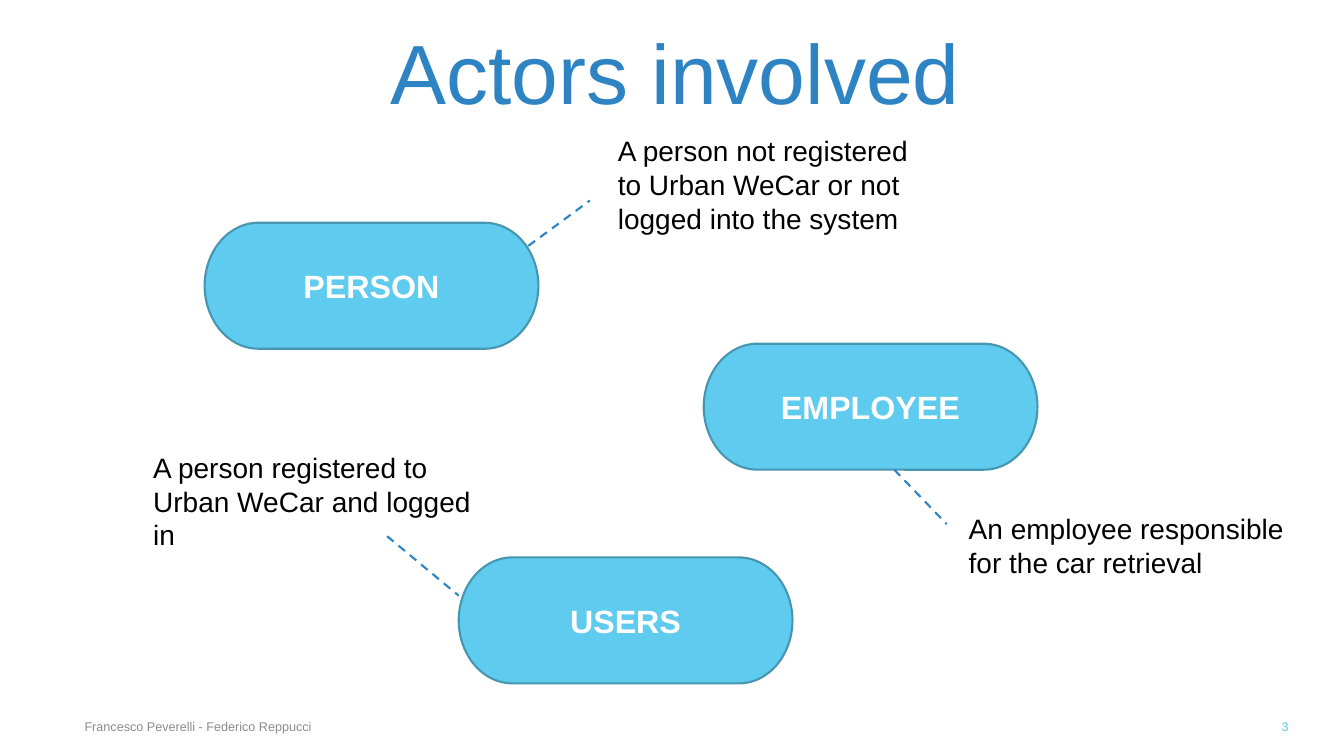
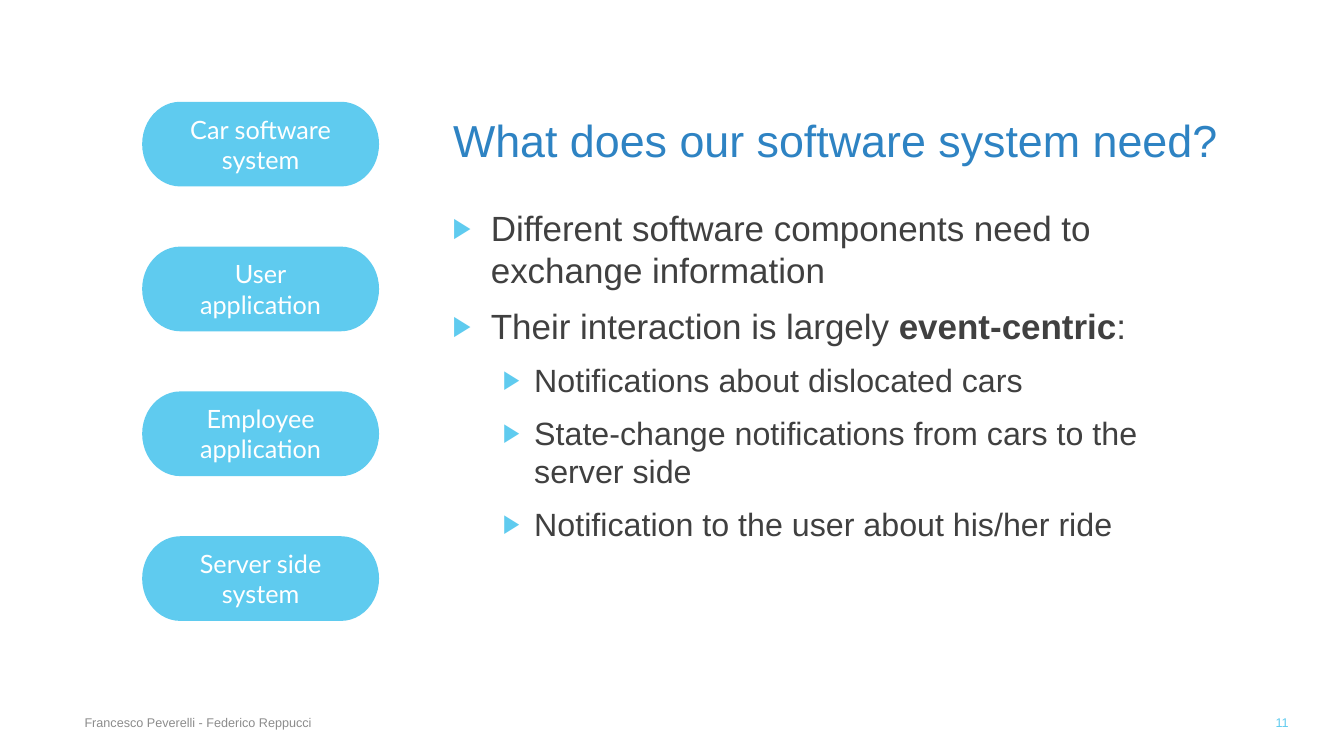
from lxml import etree
from pptx import Presentation
from pptx import util as u
from pptx.dml.color import RGBColor
from pptx.enum import dml, shapes, text
from pptx.oxml import ns

HUES = {
    "sky": "5FCBEF", "edge": "4696B1", "blue": "2E83C3", "ink": "000000",
    "body": "404040", "gray": "8C8C8C", "white": "FFFFFF",
}
SANS, ROUND = "Arial", "Lato"
LEFT, MID, RIGHT = text.PP_ALIGN.LEFT, text.PP_ALIGN.CENTER, text.PP_ALIGN.RIGHT
TOP, CENTER = text.MSO_ANCHOR.TOP, text.MSO_ANCHOR.MIDDLE


def hue(name):
    return RGBColor.from_string(HUES[name])


def inches(*sizes):
    return [u.Inches(size) for size in sizes]


def add_run(para, words, size, color, font=SANS, bold=False):
    run = para.add_run()
    run.text = words
    run.font.size = u.Pt(size)
    run.font.name = font
    run.font.bold = bold
    run.font.color.rgb = hue(color)


def write(frame, lines, size, color, align=LEFT, anchor=TOP, **style):
    frame.word_wrap = True
    frame.auto_size = text.MSO_AUTO_SIZE.NONE
    frame.vertical_anchor = anchor
    for i, line in enumerate(lines):
        para = frame.add_paragraph() if i else frame.paragraphs[0]
        para.alignment = align
        add_run(para, line, size, color, **style)


def add_title(slide, words, box, size):
    title = slide.shapes.title
    title.left, title.top, title.width, title.height = inches(*box)
    write(title.text_frame, [words], size, "blue", MID)


def add_text(slide, words, box, size, color, align=LEFT, anchor=TOP):
    area = slide.shapes.add_textbox(*inches(*box))
    write(area.text_frame, [words], size, color, align, anchor)


def add_footer(slide, number, top):
    add_text(slide, "Francesco Peverelli - Federico Reppucci",
             (0.74, top, 6.89, 0.4), 9, "gray", anchor=CENTER)
    add_text(slide, str(number), (12.13, top, 0.75, 0.4), 9, "sky", RIGHT, CENTER)


def add_pill(slide, lines, box, size, edge=None, **style):
    pill = slide.shapes.add_shape(
        shapes.MSO_SHAPE.FLOWCHART_TERMINATOR, *inches(*box))
    pill.shadow.inherit = False
    pill.fill.solid()
    pill.fill.fore_color.rgb = hue("sky")
    if edge:
        pill.line.color.rgb = hue(edge)
        pill.line.width = u.Pt(1.5)
    else:
        pill.line.fill.background()
    write(pill.text_frame, lines, size, "white", MID, CENTER, **style)


def add_dash(slide, ends):
    line = slide.shapes.add_connector(
        shapes.MSO_CONNECTOR.STRAIGHT, *inches(*ends))
    line.line.color.rgb = hue("blue")
    line.line.width = u.Pt(1.5)
    line.line.dash_style = dml.MSO_LINE.DASH
    etree.SubElement(line._element.spPr, ns.qn("a:effectLst"))


def set_bullet(para, indent, hang):
    props = para._p.get_or_add_pPr()
    props.set("marL", str(u.Inches(indent)))
    props.set("indent", str(-u.Inches(hang)))
    color = etree.SubElement(props, ns.qn("a:buClr"))
    etree.SubElement(color, ns.qn("a:srgbClr"), val=HUES["sky"])
    etree.SubElement(props, ns.qn("a:buSzPct"), val="80000")
    etree.SubElement(props, ns.qn("a:buFont"), typeface=SANS)
    etree.SubElement(props, ns.qn("a:buChar"), char="▶")


def add_list(slide, items, box):
    """Each item is a level and its runs, given as (words, bold)."""
    levels = [(25, 0.38, 0.38), (23, 0.81, 0.31)]
    frame = slide.shapes.add_textbox(*inches(*box)).text_frame
    frame.word_wrap = True
    for i, (level, runs) in enumerate(items):
        size, indent, hang = levels[level]
        para = frame.add_paragraph() if i else frame.paragraphs[0]
        para.level = level
        para.space_before = u.Pt(10)
        set_bullet(para, indent, hang)
        for words, bold in runs:
            add_run(para, words, size, "body", bold=bold)


def add_actors(slide):
    add_title(slide, "Actors involved", (0.52, 0.15, 12.35, 1.13), 60)
    actors = [
        ("PERSON", (2.03, 2.21), (5.24, 2.44, 5.85, 1.99),
         "A person not registered to Urban WeCar or not logged into the system",
         (6.03, 1.28, 3.36, 1.11)),
        ("EMPLOYEE", (6.98, 3.41), (8.87, 4.66, 9.39, 5.2),
         "An employee responsible for the car retrieval",
         (9.51, 5.03, 3.36, 0.77)),
        ("USERS", (4.55, 5.53), (3.84, 5.32, 4.55, 5.91),
         "A person registered to Urban WeCar and logged in",
         (1.42, 4.42, 3.52, 1.11)),
    ]
    for name, spot, ends, note, box in actors:
        add_pill(slide, [name], (*spot, 3.31, 1.25), 23, "edge", bold=True)
        add_dash(slide, ends)
        add_text(slide, note, box, 20, "ink")
    add_footer(slide, 3, 7.01)


def add_needs(slide):
    add_title(slide, "What does our software system need?",
              (3.76, 1.07, 9.06, 0.96), 32)
    parts = [["Car software system"], ["User", "application"],
             ["Employee application"], ["Server side system"]]
    first, last = 1.01, 5.32
    step = (last - first) / (len(parts) - 1)
    for i, lines in enumerate(parts):
        add_pill(slide, lines, (1.41, first + i * step, 2.35, 0.84), 18, font=ROUND)
    add_list(slide, [
        (0, [("Different software components need to exchange information", False)]),
        (0, [("Their interaction is largely ", False),
             ("event-centric", True), (":", False)]),
        (1, [("Notifications about dislocated cars", False)]),
        (1, [("State-change notifications from cars to the server side", False)]),
        (1, [("Notification to the user about his/her ride", False)]),
    ], (4.39, 2, 7.81, 3.91))
    add_footer(slide, 11, 6.97)


def main():
    deck = Presentation()
    deck.slide_width, deck.slide_height = inches(13.33, 7.5)
    for build in (add_actors, add_needs):
        build(deck.slides.add_slide(deck.slide_layouts[5]))
    deck.save("out.pptx")


if __name__ == "__main__":
    main()
